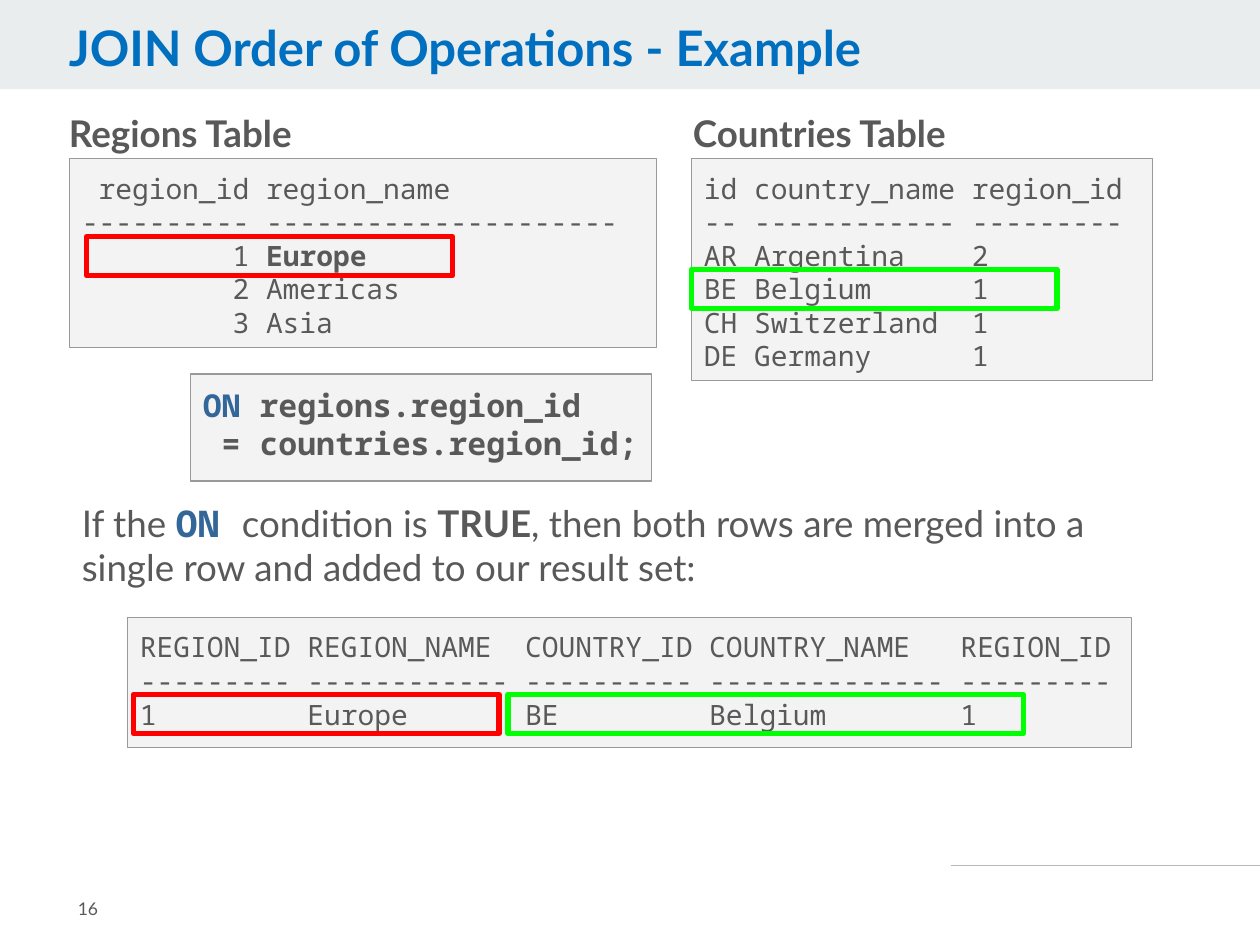
"""Builds the slide that explains how JOIN merges matching rows."""
from lxml.etree import SubElement
from pptx import Presentation
from pptx.dml.color import RGBColor
from pptx.enum.shapes import MSO_CONNECTOR as Connector, MSO_SHAPE as Shape
from pptx.enum.text import MSO_ANCHOR as Anchor
from pptx.oxml.ns import qn
from pptx.util import Cm, Pt

GREY = RGBColor(0x59, 0x59, 0x59)
TITLE_BLUE = RGBColor(0x00, 0x6F, 0xBF)
KEYWORD_BLUE = RGBColor(0x33, 0x66, 0x99)
BAND = RGBColor(0xE9, 0xED, 0xEE)
PANEL = RGBColor(0xF3, 0xF3, 0xF3)
BORDER = RGBColor(0x99, 0x99, 0x99)
RULE = RGBColor(0xB7, 0xB7, 0xB7)
RED = RGBColor(0xFF, 0x00, 0x00)
GREEN = RGBColor(0x00, 0xFF, 0x00)
SANS, MONO = "Lato", "Noto Sans Mono"
KEYWORD = dict(font=MONO, color=KEYWORD_BLUE, bold=True)

REGIONS = [
    " region_id region_name",
    "---------- ---------------------",
    [("         1 ", {}), ("Europe", dict(bold=True))],
    "         2 Americas",
    "         3 Asia",
]
COUNTRIES = [
    "id country_name region_id",
    "-- ------------ ---------",
    "AR Argentina    2",
    "BE Belgium      1",
    "CH Switzerland  1",
    "DE Germany      1",
]
CONDITION = [
    [("ON ", KEYWORD), ("regions.region_id", dict(bold=True))],
    [(" = countries.region_id;", dict(bold=True))],
]
RESULT = [
    "REGION_ID REGION_NAME  COUNTRY_ID COUNTRY_NAME   REGION_ID",
    "--------- ------------ ---------- -------------- ---------",
    "1         Europe       BE         Belgium        1",
]
EXPLANATION = [
    ("If the ", {}),
    ("ON ", KEYWORD),
    ("condition is ", {}),
    ("TRUE", dict(bold=True)),
    (", then both rows are merged into a single row and added to our result set:", {}),
]


def write(para, text, font=SANS, size=21, color=GREY, bold=False):
    """Add one formatted span to a paragraph."""
    span = para.add_run()
    span.text = text
    span.font.name = font
    span.font.size = Pt(size)
    span.font.bold = bold
    span.font.color.rgb = color


class SlideBuilder:
    """Holds the current page and draws each kind of element in its style."""

    def __init__(self, page):
        self.page = page

    def fill_frame(self, frame, lines, inset=0.13, **style):
        """Write lines, each a string or a list of (text, format) spans."""
        frame.word_wrap = True
        frame.vertical_anchor = Anchor.TOP
        frame.margin_left = frame.margin_right = Cm(0.25)
        frame.margin_top = frame.margin_bottom = Cm(inset)
        for index, line in enumerate(lines):
            para = frame.add_paragraph() if index else frame.paragraphs[0]
            spans = [(line, {})] if isinstance(line, str) else line
            for text, changes in spans:
                write(para, text, **{**style, **changes})

    def rectangle(self, left, top, width, height, fill=None, line=None, weight=0.75):
        """Draw a plain rectangle."""
        box = self.page.shapes.add_shape(
            Shape.RECTANGLE, Cm(left), Cm(top), Cm(width), Cm(height))
        box.shadow.inherit = False
        if fill is None:
            box.fill.background()
        else:
            box.fill.solid()
            box.fill.fore_color.rgb = fill
        if line is None:
            box.line.fill.background()
        else:
            box.line.color.rgb = line
            box.line.width = Pt(weight)
        return box

    def code(self, left, top, width, height, lines, size=16):
        """Draw a bordered panel of monospaced text."""
        box = self.rectangle(left, top, width, height, PANEL, BORDER)
        self.fill_frame(box.text_frame, lines, 0.25, font=MONO, size=size)
        for para in box.text_frame.paragraphs:
            para.alignment = 1

    def highlight(self, left, top, width, color):
        """Frame one row of a code panel."""
        self.rectangle(left, top, width, 0.79, line=color, weight=3)

    def text(self, left, top, width, height, line, **style):
        """Add a text box with one paragraph."""
        box = self.page.shapes.add_textbox(Cm(left), Cm(top), Cm(width), Cm(height))
        self.fill_frame(box.text_frame, [line], **style)
        return box.text_frame

    def rule(self, left, right, top):
        """Draw a thin horizontal line."""
        line = self.page.shapes.add_connector(
            Connector.STRAIGHT, Cm(left), Cm(top), Cm(right), Cm(top))
        line.line.color.rgb = RULE
        line.line.width = Pt(0.75)
        SubElement(line._element.spPr, qn("a:effectLst"))


def main():
    """Build and save the deck."""
    deck = Presentation()
    deck.slide_width, deck.slide_height = Cm(25.4), Cm(19.05)
    slide = SlideBuilder(deck.slides.add_slide(deck.slide_layouts[6]))

    slide.rule(19.18, 25.4, 17.45)
    slide.rectangle(0, 0, 25.4, 1.8, BAND)
    title = slide.text(1.14, 0.36, 20, 1.4, "JOIN Order of Operations - Example",
                       size=28, color=TITLE_BLUE, bold=True)
    title.paragraphs[0].line_spacing = 0.9
    number = slide.text(1.32, 17.6, 3.12, 1.45, "16", inset=0.25, size=10)
    number.vertical_anchor = Anchor.MIDDLE

    slide.text(1.14, 2.11, 5.2, 1.07, "Regions Table", bold=True)
    slide.text(13.72, 2.11, 7.37, 1.07, "Countries Table", bold=True)
    slide.code(1.4, 3.2, 11.84, 3.81, REGIONS)
    slide.code(13.94, 3.2, 9.3, 4.47, COUNTRIES)
    slide.code(3.84, 7.54, 9.3, 2.16, CONDITION, size=18)
    explanation = slide.text(1.4, 9.96, 21.84, 2.18, EXPLANATION)
    explanation.paragraphs[0].space_after = Pt(18)
    slide.code(2.57, 12.45, 20.24, 2.62, RESULT)

    slide.highlight(1.75, 4.77, 7.37, RED)
    slide.highlight(13.94, 5.43, 7.37, GREEN)
    slide.highlight(2.69, 14, 7.37, RED)
    slide.highlight(10.24, 14, 10.39, GREEN)
    deck.save("out.pptx")


if __name__ == "__main__":
    main()
